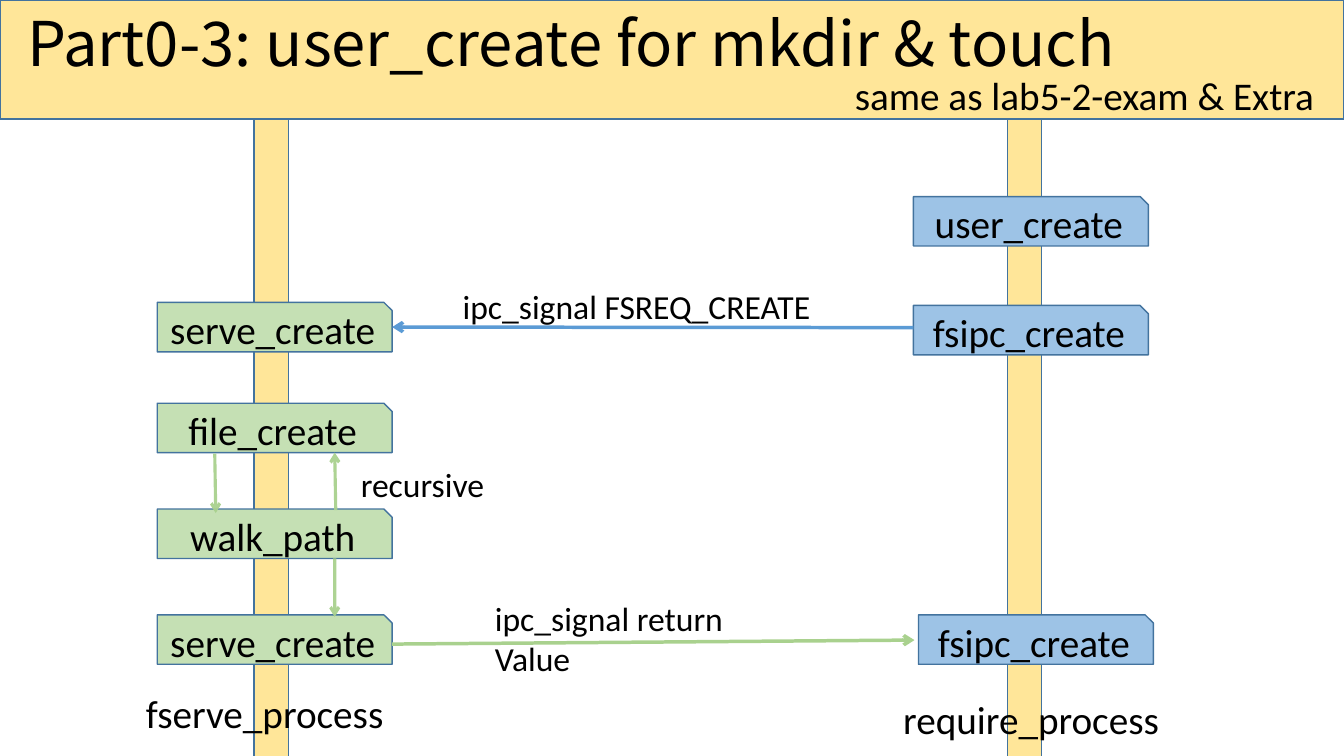
from typing import NamedTuple, Optional

from lxml.etree import SubElement
from pptx import Presentation
from pptx.dml.color import RGBColor
from pptx.enum.shapes import MSO_CONNECTOR, MSO_SHAPE
from pptx.enum.text import MSO_ANCHOR, MSO_AUTO_SIZE, PP_ALIGN
from pptx.oxml.ns import qn
from pptx.shapes.autoshape import Shape
from pptx.shapes.connector import Connector
from pptx.slide import Slide
from pptx.util import Emu, Pt

EMU_PER_PX = 9144  # 100 px to the inch

BLACK = RGBColor(0x00, 0x00, 0x00)
YELLOW = RGBColor(0xFF, 0xE6, 0x99)
OUTLINE = RGBColor(0x43, 0x73, 0x9E)
BLUE = RGBColor(0x9D, 0xC3, 0xE6)
BLUE_LINE = RGBColor(0x5B, 0x9B, 0xD5)
GREEN = RGBColor(0xC5, 0xE0, 0xB4)
GREEN_LINE = RGBColor(0xA9, 0xD1, 0x8E)

BODY_FONT = "Calibri"
TITLE_FONT = "Noto Sans CJK SC"
STEP_WIDTH, STEP_HEIGHT = 233, 49
SERVE_LEFT, REQUIRE_LEFT = 156, 906
RIGHT_SIDE = 3


class Bar(NamedTuple):
    left: int
    top: int
    width: int
    height: int


class Step(NamedTuple):
    text: str
    left: int
    top: int
    fill: RGBColor


class Label(NamedTuple):
    text: str
    left: int
    top: int
    width: int
    height: int
    size: int
    font: str = BODY_FONT
    wrap: bool = True


class Arrow(NamedTuple):
    x1: int
    y1: int
    x2: int
    y2: int
    color: RGBColor
    weight: float
    opacity: Optional[int] = None


BARS = [
    Bar(999, 32, 34, 731),
    Bar(252, 17, 34, 751),
    Bar(0, 0, 1333, 118),
]

REQUEST_HANDLER = Step("serve_create", SERVE_LEFT, 300, GREEN)
STEPS = [
    Step("user_create", REQUIRE_LEFT, 195, BLUE),
    Step("fsipc_create", REQUIRE_LEFT, 303, BLUE),
    Step("file_create", SERVE_LEFT, 400, GREEN),
    Step("walk_path", SERVE_LEFT, 505, GREEN),
    Step("serve_create", SERVE_LEFT, 610, GREEN),
    Step("fsipc_create", REQUIRE_LEFT + 5, 610, BLUE),
]

LABELS = [
    Label("Part0-3: user_create for mkdir & touch", 17, 0, 1278, 84, 44, TITLE_FONT),
    Label("same as lab5-2-exam & Extra", 838, 66, 524, 57, 28),
    Label("fserve_process", 135, 679, 314, 57, 28),
    Label("require_process", 886, 685, 314, 57, 28),
    Label("ipc_signal FSREQ_CREATE", 449, 279, 451, 50, 24),
    Label("ipc_signal return Value", 481, 588, 328, 50, 24, wrap=False),
    Label("recursive", 348, 455, 276, 50, 24),
]

REQUEST = Arrow(906, 325, 389, 325, BLUE_LINE, 2.5)
ARROWS = [
    Arrow(213, 450, 214, 509, GREEN_LINE, 2.25, 94),
    Arrow(333, 506, 332, 449, GREEN_LINE, 2.25, 94),
    Arrow(332, 554, 332, 612, GREEN_LINE, 2.25, 94),
    Arrow(389, 639, 907, 635, GREEN_LINE, 2.5),
]


def px(n: int) -> Emu:
    return Emu(n * EMU_PER_PX)


def add_outlined(slide: Slide, kind: MSO_SHAPE, box: Bar, fill: RGBColor) -> Shape:
    sp = slide.shapes.add_shape(kind, *map(px, box))
    sp.shadow.inherit = False
    sp.fill.solid()
    sp.fill.fore_color.rgb = fill
    sp.line.color.rgb = OUTLINE
    sp.line.width = Pt(1)
    return sp


def set_text(sp: Shape, text: str, size: int, font: str) -> None:
    p = sp.text_frame.paragraphs[0]
    p.text = text
    p.font.size = Pt(size)
    p.font.name = font
    p.font.color.rgb = BLACK


def add_step(slide: Slide, step: Step) -> Shape:
    box = Bar(step.left, step.top, STEP_WIDTH, STEP_HEIGHT)
    sp = add_outlined(slide, MSO_SHAPE.SNIP_1_RECTANGLE, box, step.fill)
    set_text(sp, step.text, 28, BODY_FONT)
    sp.text_frame.vertical_anchor = MSO_ANCHOR.MIDDLE
    sp.text_frame.paragraphs[0].alignment = PP_ALIGN.CENTER
    return sp


def add_label(slide: Slide, label: Label) -> None:
    box = Bar(label.left, label.top, label.width, label.height)
    sp = slide.shapes.add_textbox(*map(px, box))
    sp.text_frame.word_wrap = label.wrap
    sp.text_frame.auto_size = MSO_AUTO_SIZE.SHAPE_TO_FIT_TEXT
    set_text(sp, label.text, label.size, label.font)


def add_arrow(slide: Slide, arrow: Arrow) -> Connector:
    ends = map(px, (arrow.x1, arrow.y1, arrow.x2, arrow.y2))
    cxn = slide.shapes.add_connector(MSO_CONNECTOR.STRAIGHT, *ends)
    cxn.line.color.rgb = arrow.color
    cxn.line.width = Pt(arrow.weight)
    ln = cxn.line._get_or_add_ln()
    if arrow.opacity is not None:
        color = ln.find(".//" + qn("a:srgbClr"))
        SubElement(color, qn("a:alpha"), val=str(arrow.opacity * 1000))
    SubElement(ln, qn("a:tailEnd"), type="arrow")
    SubElement(cxn._element.spPr, qn("a:effectLst"))
    return cxn


def main() -> None:
    prs = Presentation()
    prs.slide_width, prs.slide_height = px(1333), px(750)
    slide = prs.slides.add_slide(prs.slide_layouts[6])

    for bar in BARS:
        add_outlined(slide, MSO_SHAPE.RECTANGLE, bar, YELLOW)
    handler = add_step(slide, REQUEST_HANDLER)
    for step in STEPS:
        add_step(slide, step)
    add_arrow(slide, REQUEST).end_connect(handler, RIGHT_SIDE)
    for arrow in ARROWS:
        add_arrow(slide, arrow)
    for label in LABELS:
        add_label(slide, label)

    prs.save("out.pptx")


if __name__ == "__main__":
    main()
